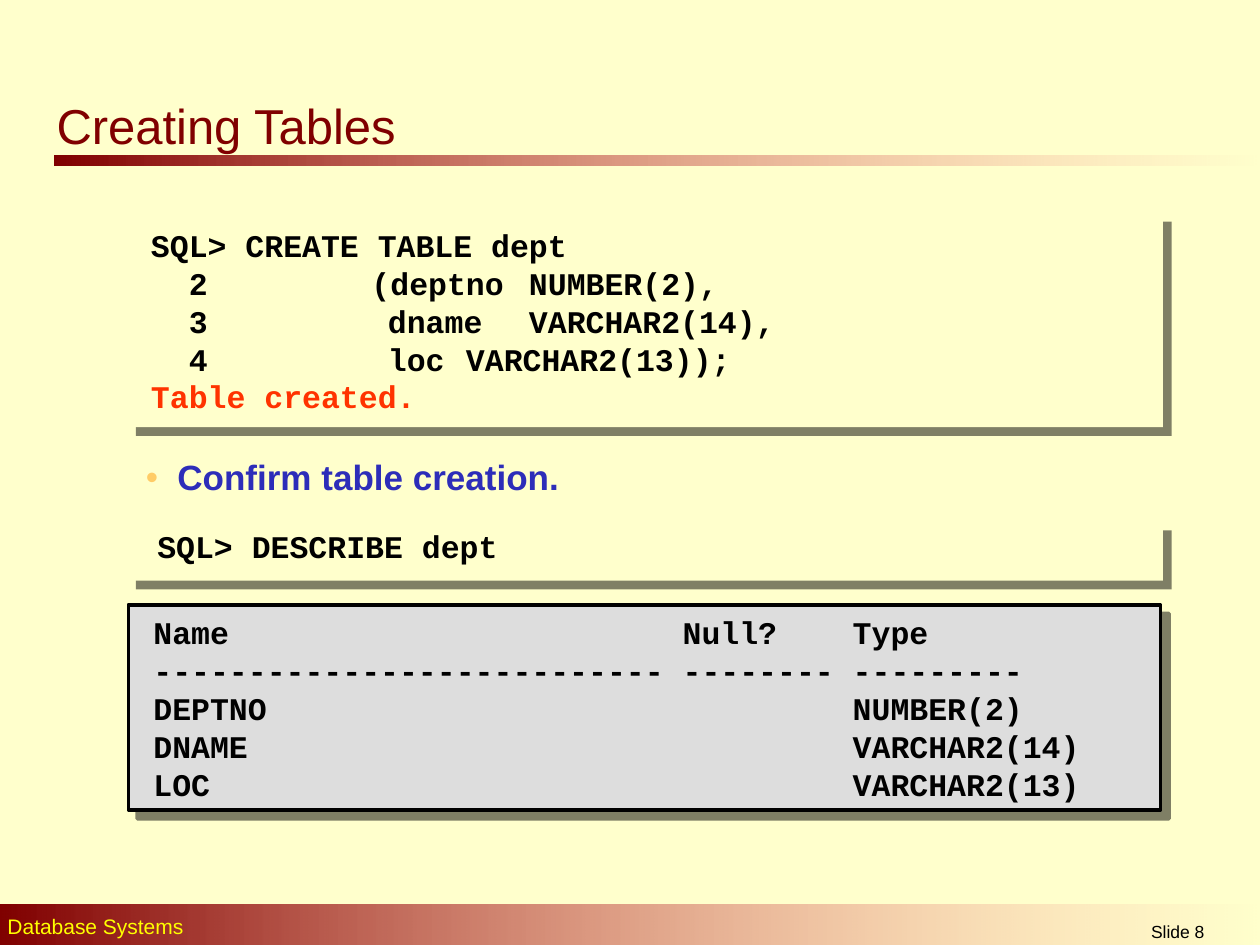
from dataclasses import dataclass
from typing import Optional

from lxml import etree
from pptx import Presentation, util as u
from pptx.dml.color import RGBColor
from pptx.enum import shapes, text
from pptx.oxml import ns

Pt = u.Pt

CREAM = RGBColor(0xFF, 0xFF, 0xCC)
MAROON = RGBColor(0x80, 0x00, 0x00)
SALMON = RGBColor(0xFF, 0x85, 0x85)
GREY = RGBColor(0xDD, 0xDD, 0xDD)
BLACK = RGBColor(0x00, 0x00, 0x00)
YELLOW = RGBColor(0xFF, 0xFF, 0x00)
RED = RGBColor(0xFF, 0x33, 0x00)
BLUE = RGBColor(0x2D, 0x2D, 0xB9)
BULLET = RGBColor(0xFF, 0xCC, 0x66)


@dataclass(frozen=True)
class Box:
    """Place and size in points."""
    left: float
    top: float
    width: float
    height: float

    def lengths(self) -> tuple:
        return Pt(self.left), Pt(self.top), Pt(self.width), Pt(self.height)


@dataclass(frozen=True)
class Panel:
    box: Box
    fill: RGBColor
    line: Optional[RGBColor] = None


@dataclass(frozen=True)
class Line:
    content: str
    color: RGBColor = BLACK


BARS = [Box(31, 88.6, 689, 5.8), Box(0, 517, 720, 23)]
PANELS = [
    Panel(Box(73.4, 345.6, 589.7, 117.4), GREY, BLACK),
    Panel(Box(72.7, 121.7, 591.8, 122.4), CREAM),
    Panel(Box(72.7, 298.1, 591.8, 33.8), CREAM),
]
CREATE = [
    Line("SQL> CREATE TABLE dept"),
    Line("  2\t(deptno \tNUMBER(2),"),
    Line("  3  \t\tdname \tVARCHAR2(14),"),
    Line("  4  \t\tloc \tVARCHAR2(13));"),
    Line("Table created.", RED),
]
RESULT = [
    Line(" Name                        Null?    Type"),
    Line(" --------------------------- -------- ---------"),
    Line(" DEPTNO                               NUMBER(2)"),
    Line(" DNAME                                VARCHAR2(14)"),
    Line(" LOC                                  VARCHAR2(13)"),
]
CODE = dict(size=18, font="Courier New", bold=True)


def add_element(parent, tag: str, **attributes):
    element = etree.SubElement(parent, ns.qn(tag))
    for name, value in attributes.items():
        element.set(name, str(value))
    return element


def add_rectangle(slide, box: Box):
    shape = slide.shapes.add_shape(shapes.MSO_SHAPE.RECTANGLE, *box.lengths())
    shape.shadow.inherit = False
    shape.line.fill.background()
    return shape


def add_bar(slide, box: Box) -> None:
    """Draw a bar that fades out to the right."""
    shape = add_rectangle(slide, box)
    shape.fill.gradient()
    shape.fill.gradient_angle = 0
    for stop, color in zip(shape.fill.gradient_stops, (MAROON, SALMON)):
        stop.color.rgb = color
    last_color = list(shape._element.spPr.iter(ns.qn("a:srgbClr")))[-1]
    add_element(last_color, "a:alpha", val=0)


def add_panel(slide, panel: Panel) -> None:
    """Draw a filled panel with a hard shadow."""
    shape = add_rectangle(slide, panel.box)
    shape.fill.solid()
    shape.fill.fore_color.rgb = panel.fill
    if panel.line is not None:
        shape.line.color.rgb = panel.line
        shape.line.width = Pt(2)
    effects = shape._element.spPr.find(ns.qn("a:effectLst"))
    shadow = add_element(effects, "a:outerShdw", blurRad=0, dist=int(Pt(7.1)),
                         dir=45 * 60000, algn="ctr", rotWithShape=0)
    color = add_element(shadow, "a:srgbClr", val=BLACK)
    add_element(color, "a:alpha", val=50000)


def add_bullet(paragraph) -> None:
    properties = paragraph._p.get_or_add_pPr()
    properties.set("marL", str(int(Pt(26.6))))
    properties.set("indent", str(int(Pt(-18))))
    color = add_element(properties, "a:buClr")
    add_element(color, "a:srgbClr", val=BULLET)
    add_element(properties, "a:buFont", typeface="Arial")
    add_element(properties, "a:buChar", char="•")


def add_tabs(paragraph, positions: tuple) -> None:
    tabs = add_element(paragraph._p.get_or_add_pPr(), "a:tabLst")
    for position in positions:
        add_element(tabs, "a:tab", pos=int(Pt(position)), algn="l")


def add_text(slide, box: Box, lines: list[Line], *, size: float,
             font: str = "Arial", bold: bool = False, bullet: bool = False,
             tabs: tuple = (), spacing: Optional[float] = None,
             inset: float = 7.2, align=text.PP_ALIGN.LEFT,
             anchor=text.MSO_ANCHOR.TOP) -> None:
    frame = slide.shapes.add_textbox(*box.lengths()).text_frame
    frame.word_wrap = True
    frame.vertical_anchor = anchor
    frame.margin_left = Pt(inset)
    for index, line in enumerate(lines):
        paragraph = frame.add_paragraph() if index else frame.paragraphs[0]
        if bullet:
            add_bullet(paragraph)
        if tabs:
            add_tabs(paragraph, tabs)
        paragraph.alignment = align
        if spacing:
            paragraph.line_spacing = spacing
        run = paragraph.add_run()
        run.text = line.content
        run.font.name = font
        run.font.size = Pt(size)
        run.font.bold = bold
        run.font.color.rgb = line.color


def main() -> None:
    presentation = Presentation()
    presentation.slide_width, presentation.slide_height = Pt(720), Pt(540)
    slide = presentation.slides.add_slide(presentation.slide_layouts[6])
    slide.background.fill.solid()
    slide.background.fill.fore_color.rgb = CREAM

    # Title rule, footer bar and panels
    for bar in BARS:
        add_bar(slide, bar)
    for panel in PANELS:
        add_panel(slide, panel)

    # Title and footer
    add_text(slide, Box(25.2, 49, 400, 42.5), [Line("Creating Tables", MAROON)],
             size=28, anchor=text.MSO_ANCHOR.BOTTOM)
    add_text(slide, Box(0, 518.4, 462, 21.6), [Line("Database Systems", YELLOW)],
             size=12, inset=4.3)
    add_text(slide, Box(626, 522.7, 94, 17.3), [Line("Slide 8")],
             size=10, align=text.PP_ALIGN.CENTER)

    # Statements, bullet and query result
    middle = text.MSO_ANCHOR.MIDDLE
    add_text(slide, Box(79.2, 131.8, 576, 103), CREATE,
             tabs=(126, 135.4), anchor=middle, **CODE)
    add_text(slide, Box(67.7, 258.5, 581.8, 30.2),
             [Line("Confirm table creation.", BLUE)],
             size=20, bold=True, bullet=True, spacing=0.95)
    add_text(slide, Box(82.8, 295, 576, 33.8), [Line("SQL> DESCRIBE dept")],
             anchor=middle, **CODE)
    add_text(slide, Box(69.8, 347, 561.6, 115.2), RESULT, **CODE)

    presentation.save("out.pptx")


if __name__ == "__main__":
    main()
